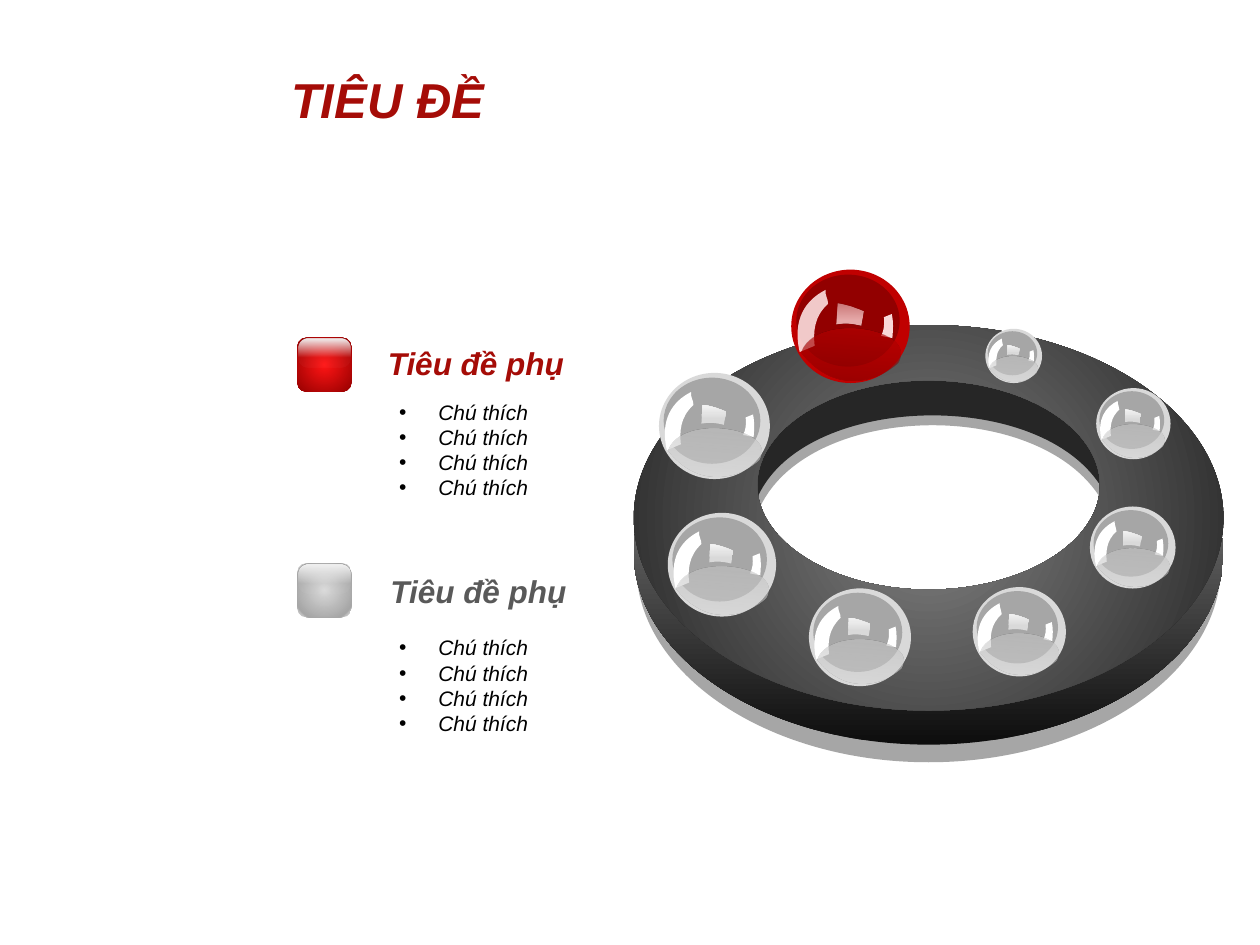
import math
from lxml import etree
from pptx import Presentation
from pptx import util as u
from pptx.dml.color import RGBColor
from pptx.enum import shapes, text
from pptx.oxml import ns

COLORS = {
    "heading": "A50C07", "subdued": "595959", "body": "000000",
    "shadow": "A6A6A6", "soft_shadow": "C7C7C7", "wall": "262626",
}
RIM = [(0, "0D0D0D"), (100, "A6A6A6")]
TOP = [(0, "808080"), (100, "262626")]
GLOSS = [(0, "F2F2F2"), (65, "FFFFFF", 3)]
GRAY_BALL = {
    "shell": "D9D9D9", "core": "A6A6A6", "glint": [(0, "FFFFFF")],
    "window": [(26, "D9D9D9"), (98, "F2F2F2")], "edge": [(0, "FFFFFF")],
    "pool": [(0, "D9D9D9", 45), (98, "BFBFBF", 63)],
}
RED_BALL = {
    "shell": "C00000", "core": "920000", "glint": [(0, "FFE5E5", 88)],
    "window": [(26, "FFD9D9", 78), (98, "FFE5E5", 52)],
    "edge": [(0, "FFE5E5", 95)],
    "pool": [(1, "820000", 65), (100, "C00000", 62)],
}
RED_KEY = [(0, "FF1515"), (100, "960000")]
GRAY_KEY = [(0, "D9D9D9"), (81, "A6A6A6"), (86, "BFBFBF")]

REFLECTIONS = {
    "glint": (16.1, [(.2, .14), (.21, .19, .24, .2, .25, .24),
                     (.17, .37, .2, .49, .24, .59), (.14, .67),
                     (.01, .44, .07, .26, .2, .14)]),
    "window": (0, [(.37, .27), (.44, .28, .5, .3, .57, .33), (.55, .44),
                   (.47, .42, .42, .42, .36, .43)]),
    "edge": (4.6, [(.73, .38), (.79, .35), (.81, .42, .81, .47, .81, .54),
                   (.72, .53), (.74, .48, .74, .44, .73, .38)]),
    "pool": (4.6, [(.08, .69), (.16, .36, 1, .42, .85, .71),
                   (.7, .87, .37, 1, .08, .69)]),
}
FLOOR_CRESCENT = [(.96, .62), (1.67, .34, 3.51, -.08, 3.76, 1.48),
                  (3.34, .52, 1.2, .58, .95, 1.59),
                  (.97, 1.3, .93, .92, .96, .62)]
WALL_CRESCENT = [(.94, .55), (1.66, .27, 3.51, -.14, 3.76, 1.38),
                 (3.35, .45, 1.18, .51, .94, 1.49),
                 (.96, 1.21, .92, .83, .94, .55)]
BALLS = [
    (5.23, 2.96, .88, GRAY_BALL), (6.28, 2.14, .94, RED_BALL),
    (5.3, 4.07, .86, GRAY_BALL), (6.42, 4.67, .81, GRAY_BALL),
    (7.72, 4.66, .74, GRAY_BALL), (8.65, 4.02, .68, GRAY_BALL),
    (8.7, 3.08, .59, GRAY_BALL), (7.82, 2.61, .45, GRAY_BALL),
]


def paint(shape, fill, angle=None):
    shape.shadow.inherit = False
    shape.line.fill.background()
    if isinstance(fill, str):
        shape.fill.solid()
        shape.fill.fore_color.rgb = RGBColor.from_string(fill)
        return
    single = len(fill) == 1
    shape.fill.background()
    old = shape._element.spPr.find(ns.qn("a:noFill"))
    new = etree.Element(ns.qn("a:solidFill" if single else "a:gradFill"))
    stops = new if single else etree.SubElement(new, ns.qn("a:gsLst"))
    for position, color, *alpha in fill:
        holder = stops if single else etree.SubElement(
            stops, ns.qn("a:gs"), pos=str(position * 1000))
        tint = etree.SubElement(holder, ns.qn("a:srgbClr"), val=color)
        for percent in alpha:
            etree.SubElement(tint, ns.qn("a:alpha"), val=str(percent * 1000))
    if not single and angle is None:
        radial = etree.SubElement(new, ns.qn("a:path"), path="circle")
        etree.SubElement(radial, ns.qn("a:fillToRect"),
                         {side: "50000" for side in "ltrb"})
    elif not single:
        etree.SubElement(new, ns.qn("a:lin"), ang=str(angle * 60000), scaled="0")
    old.getparent().replace(old, new)


def sample(steps, count=20):
    points = [steps[0]]
    for step in steps[1:]:
        if len(step) == 2:
            points.append(step)
            continue
        knots = [points[-1], step[:2], step[2:4], step[4:]]
        for i in range(1, count + 1):
            t = i / count
            weights = [math.comb(3, k) * t**k * (1 - t)**(3 - k) for k in range(4)]
            points.append(tuple(sum(w * knot[axis] for w, knot in zip(weights, knots))
                                for axis in (0, 1)))
    return points


def oval(cx, cy, rx, ry):
    h, v = .55 * rx, .55 * ry
    return [(cx, cy - ry),
            (cx + h, cy - ry, cx + rx, cy - v, cx + rx, cy),
            (cx + rx, cy + v, cx + h, cy + ry, cx, cy + ry),
            (cx - h, cy + ry, cx - rx, cy + v, cx - rx, cy),
            (cx - rx, cy - v, cx - h, cy - ry, cx, cy - ry)]


def outline(slide, left, top, contours, fill, angle=None, scale=1, rotation=0):
    xs, ys = zip(*(point for steps in contours for point in sample(steps)))
    x0, x1, y0, y1 = min(xs), max(xs), min(ys), max(ys)
    corners = [(u.Inches(left + x * scale), u.Inches(top + y * scale))
               for x, y in ((x0, y0), (x1, y0), (x1, y1), (x0, y1))]
    builder = slide.shapes.build_freeform(*corners[0], scale=1.0)
    builder.add_line_segments(corners[1:], close=True)
    shape = builder.convert_to_shape()
    shape.rotation = rotation
    route = shape._element.spPr.find(".//" + ns.qn("a:path"))
    for child in list(route):
        route.remove(child)
    for steps in contours:
        for i, step in enumerate(steps):
            tag = "a:moveTo" if i == 0 else "a:lnTo" if len(step) == 2 else "a:cubicBezTo"
            segment = etree.SubElement(route, ns.qn(tag))
            for x, y in zip(step[::2], step[1::2]):
                etree.SubElement(segment, ns.qn("a:pt"),
                                 x=str(u.Inches((x - x0) * scale)),
                                 y=str(u.Inches((y - y0) * scale)))
        etree.SubElement(route, ns.qn("a:close"))
    paint(shape, fill, angle)


def preset(slide, kind, box, fill, angle=None):
    shape = slide.shapes.add_shape(kind, *map(u.Inches, box))
    paint(shape, fill, angle)
    return shape


def ring(slide, left, top):
    def band(inner, outer, fill, angle=None):
        outline(slide, left, top, [oval(*inner), oval(*outer)], fill, angle)

    outline(slide, left, top, [FLOOR_CRESCENT], COLORS["shadow"])
    band((2.34, 1.36, 1.62, 1.02), (2.34, 1.91, 2.32, 1.56), COLORS["shadow"])
    band((2.34, 1.36, 1.36, .85), (2.34, 1.62, 2.32, 1.56), COLORS["soft_shadow"])
    outline(slide, left, top, [WALL_CRESCENT], COLORS["wall"])
    band((2.34, 1.26, 1.63, 1), (2.34, 1.8, 2.34, 1.53), RIM, 270)
    band((2.34, 1.27, 1.36, .83), (2.34, 1.53, 2.34, 1.53), TOP)


def ball(slide, left, top, width, palette):
    scale = width / .94
    ellipse = shapes.MSO_SHAPE.OVAL
    preset(slide, ellipse, (left, top, width, .9 * scale), palette["shell"])
    preset(slide, ellipse, (left + .04 * scale, top + .04 * scale,
                            .82 * scale, .73 * scale), palette["core"])
    for part, (rotation, steps) in REFLECTIONS.items():
        outline(slide, left, top, [steps], palette[part], 270, scale, rotation)


def write(frame, lines, size, color, bold=False, bullet=False):
    frame.word_wrap = True
    for i, line in enumerate(lines):
        paragraph = frame.paragraphs[0] if i == 0 else frame.add_paragraph()
        paragraph.alignment = text.PP_ALIGN.LEFT
        run = paragraph.add_run()
        run.text = line
        style = {"name": "Arial", "size": u.Pt(size), "bold": bold, "italic": True}
        for key, value in style.items():
            setattr(run.font, key, value)
        run.font.color.rgb = RGBColor.from_string(COLORS[color])
        if bullet:
            props = paragraph._p.get_or_add_pPr()
            props.set("marL", str(u.Inches(.31)))
            props.set("indent", str(u.Inches(-.31)))
            etree.SubElement(props, ns.qn("a:buFont"), typeface="Arial")
            etree.SubElement(props, ns.qn("a:buChar"), char="\u2022")


def legend(slide, left, top, key_fill, color, heading_at, notes_top):
    rounded = shapes.MSO_SHAPE.ROUNDED_RECTANGLE
    preset(slide, rounded, (left, top, .43, .43), key_fill)
    gloss = preset(slide, rounded, (left + .01, top + .01, .41, .23), GLOSS, 90)
    gloss.adjustments[0] = .33

    def block(dx, dy, width, height):
        return slide.shapes.add_textbox(*map(
            u.Inches, (left + dx, top + dy, width, height))).text_frame

    write(block(*heading_at, 2.18, .4), ["Tiêu đề phụ"], 18, color, bold=True)
    write(block(.71, notes_top, 1.99, .91), ["Chú thích"] * 4, 12, "body", bullet=True)


def title(slide, left, top, width, height):
    heading = slide.shapes.title
    box = {"left": left, "top": top, "width": width, "height": height}
    for key, value in box.items():
        setattr(heading, key, u.Inches(value))
    heading.text_frame.vertical_anchor = text.MSO_ANCHOR.TOP
    write(heading.text_frame, ["TIÊU ĐỀ"], 28, "heading", bold=True)


deck = Presentation()
deck.slide_width, deck.slide_height = u.Inches(10), u.Inches(7.5)
page = deck.slides.add_slide(deck.slide_layouts[5])
ring(page, 5.03, 2.58)
for placement in BALLS:
    ball(page, *placement)
legend(page, 2.36, 2.68, RED_KEY, "heading", (.62, 0), .44)
legend(page, 2.36, 4.47, GRAY_KEY, "subdued", (.64, .02), .52)
title(page, 2.21, .5, 1.86, .57)
deck.save("out.pptx")
